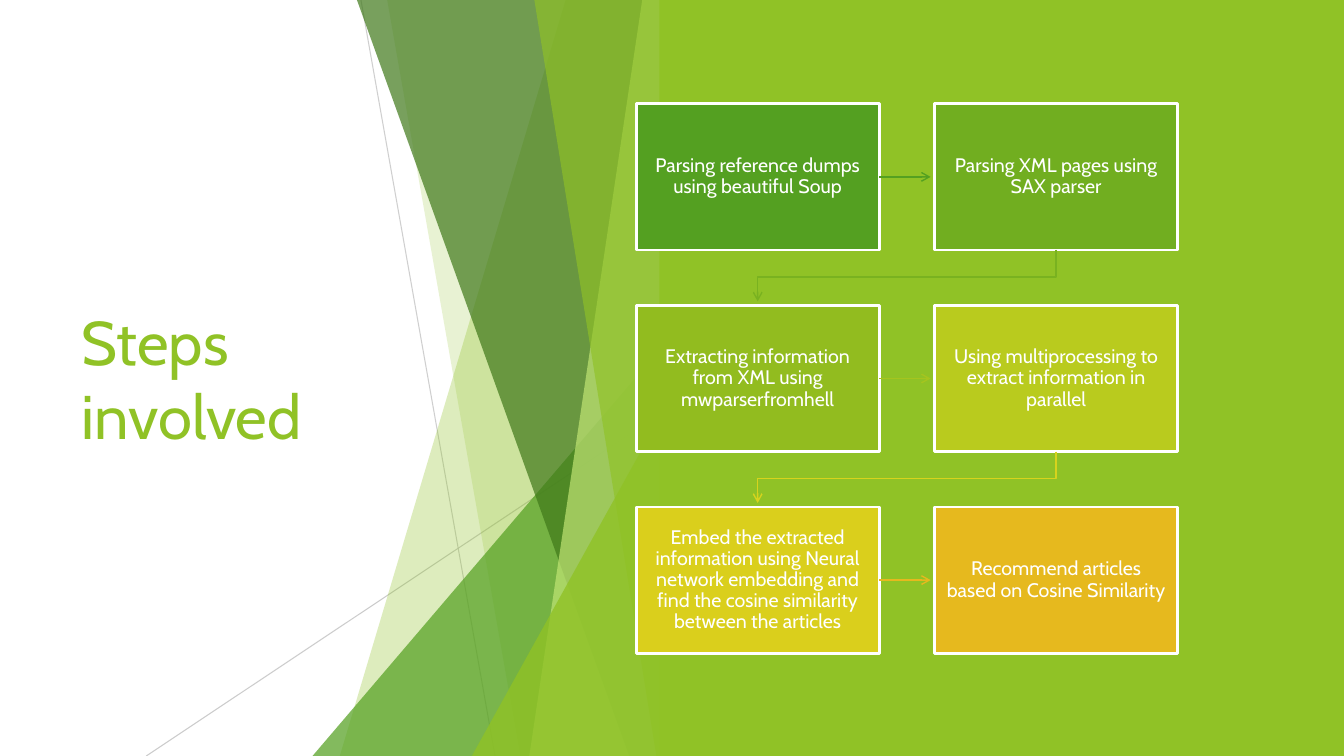
from lxml import etree
from pptx import Presentation
from pptx.dml.color import RGBColor
from pptx.enum.shapes import MSO_CONNECTOR, MSO_SHAPE
from pptx.enum.text import MSO_ANCHOR, MSO_AUTO_SIZE, PP_ALIGN
from pptx.oxml.ns import qn
from pptx.util import Inches, Pt

RECTANGLE = MSO_SHAPE.RECTANGLE
TRIANGLE = MSO_SHAPE.ISOSCELES_TRIANGLE
STRAIGHT = MSO_CONNECTOR.STRAIGHT
MIDDLE = MSO_ANCHOR.MIDDLE
NO_AUTOFIT = MSO_AUTO_SIZE.NONE
LEFT = PP_ALIGN.LEFT
CENTER = PP_ALIGN.CENTER

TITLE_ONLY = 5
FONT = "Cabin"
LIME = "90C226"
GREEN = "54A021"
WHITE = "FFFFFF"
GRAY = "BFBFBF"

STEPS = [
    ("Parsing reference dumps using beautiful Soup", "54A021"),
    ("Parsing XML pages using SAX parser", "71AE20"),
    ("Extracting information from XML using mwparserfromhell", "92BC1F"),
    ("Using multiprocessing to extract information in parallel", "B9CB1E"),
    ("Embed the extracted information using Neural network embedding "
     "and find the cosine similarity between the articles", "DACF1C"),
    ("Recommend articles based on Cosine Similarity", "E6B91E"),
]
ARROW_COLORS = ["54A021", "79B220", "A5C41F", "D7D31D", "E6B91E"]


def rgb(color):
    return RGBColor.from_string(color)


def set_opacity(shape, percent):
    for color in shape._element.iter(qn("a:srgbClr")):
        etree.SubElement(color, qn("a:alpha"), val=str(percent * 1000))


def fill_plain(shape, color):
    shape.fill.solid()
    shape.fill.fore_color.rgb = rgb(color)
    shape.line.fill.background()
    shape.shadow.inherit = False


def set_line(shape, color, width):
    shape.line.color.rgb = rgb(color)
    shape.line.width = Pt(width)


def add_arrowhead(shape):
    etree.SubElement(shape.line._get_or_add_ln(), qn("a:tailEnd"), type="arrow")


def add_straight(slide, start, end, color, width):
    line = slide.shapes.add_connector(
        STRAIGHT, *(Inches(value) for value in (*start, *end)))
    set_line(line, color, width)
    etree.SubElement(line._element.spPr, qn("a:effectLst"))
    return line


def add_outline(slide, points, close):
    corners = [(Inches(x), Inches(y)) for x, y in points]
    builder = slide.shapes.build_freeform(*corners[0])
    builder.add_line_segments(corners[1:], close=close)
    return builder.convert_to_shape()


def add_title(slide, left, top, width, height):
    title = slide.shapes.title
    title.left, title.top = Inches(left), Inches(top)
    title.width, title.height = Inches(width), Inches(height)
    frame = title.text_frame
    frame.text = "Steps involved"
    frame.word_wrap = True
    frame.auto_size = NO_AUTOFIT
    frame.vertical_anchor = MIDDLE
    heading = frame.paragraphs[0]
    heading.alignment = LEFT
    heading.font.name = FONT
    heading.font.size = Pt(44)
    heading.font.color.rgb = rgb(LIME)


def add_facets(slide, left, top, width, height):
    right, bottom = left + width, top + height

    def add_ray(start, end, opacity):
        ray = add_straight(slide, (left + start[0], top + start[1]),
                           (left + end[0], top + end[1]), GRAY, 0.75)
        set_opacity(ray, opacity)

    def add_wedge(top_x, bottom_x, color, opacity):
        wedge = add_outline(slide, [(left + top_x, top), (right, top),
                                    (right, bottom), (left + bottom_x, bottom)], True)
        fill_plain(wedge, color)
        set_opacity(wedge, opacity)

    def add_corner(x, y, color, opacity):
        corner = slide.shapes.add_shape(
            TRIANGLE, Inches(left + x), Inches(top + y),
            Inches(width - x), Inches(height - y))
        corner.adjustments[0] = 1
        fill_plain(corner, color)
        set_opacity(corner, opacity)

    add_ray((0.48, 0), (1.81, height), 75)
    add_ray((width, 4.03), (-1.65, height), 80)
    add_wedge(2.51, 0.27, LIME, 30)
    add_wedge(0.74, 2.06, LIME, 20)
    add_corner(0, 3.33, GREEN, 72)
    add_wedge(0.44, 3.14, "3F7819", 70)
    add_wedge(3.27, 2.15, "C0E474", 70)
    add_wedge(2.2, 3.41, LIME, 65)
    add_corner(1.58, 3.93, LIME, 80)


def add_panel(slide, left, top, width, height):
    panel = slide.shapes.add_shape(
        RECTANGLE, Inches(left), Inches(top), Inches(width), Inches(height))
    fill_plain(panel, LIME)


def add_step(slide, text, color, left, top, width, height):
    step = slide.shapes.add_shape(
        RECTANGLE, Inches(left), Inches(top), Inches(width), Inches(height))
    fill_plain(step, color)
    set_line(step, WHITE, 2)
    frame = step.text_frame
    frame.text = text
    frame.word_wrap = True
    frame.vertical_anchor = MIDDLE
    frame.margin_left = frame.margin_right = Inches(0.12)
    frame.margin_top = frame.margin_bottom = Inches(0.12)
    label = frame.paragraphs[0]
    label.alignment = CENTER
    label.line_spacing = 0.9
    label.font.name = FONT
    label.font.size = Pt(14)
    label.font.color.rgb = rgb(WHITE)
    return step


def add_process(slide, left, top, width, height):
    step_width, step_height = 2.41, 1.45
    column_pitch = width - step_width
    row_pitch = (height - step_height) / 2
    gap_end = 0.04
    steps = []
    for index, (text, color) in enumerate(STEPS):
        row, column = divmod(index, 2)
        steps.append(add_step(slide, text, color, left + column * column_pitch,
                              top + row * row_pitch, step_width, step_height))

    for index, color in enumerate(ARROW_COLORS):
        row, column = divmod(index, 2)
        row_top = top + row * row_pitch
        if column == 0:
            middle = row_top + step_height / 2
            arrow = add_straight(slide, (left + step_width, middle),
                                 (left + column_pitch - gap_end, middle), color, 1)
            arrow.begin_connect(steps[index], 3)
        else:
            target_x = left + step_width / 2
            source_x = target_x + column_pitch
            row_bottom = row_top + step_height
            bend = row_bottom + 0.27
            arrow = add_outline(slide, [
                (source_x, row_bottom), (source_x, bend), (target_x, bend),
                (target_x, row_top + row_pitch - gap_end)], False)
            arrow.fill.background()
            arrow.shadow.inherit = False
            set_line(arrow, color, 1)
        add_arrowhead(arrow)


def main():
    deck = Presentation()
    deck.slide_width, deck.slide_height = Inches(13.33), Inches(7.5)
    slide = deck.slides.add_slide(deck.slide_layouts[TITLE_ONLY])
    slide.background.fill.solid()
    slide.background.fill.fore_color.rgb = rgb(WHITE)
    add_title(slide, 0.71, 1.51, 3.88, 4.48)
    add_facets(slide, 3.1, 0, 3.56, 7.5)
    add_panel(slide, 6.54, 0, 6.79, 7.5)
    add_process(slide, 6.31, 1.03, 5.37, 5.45)
    deck.save("out.pptx")


if __name__ == "__main__":
    main()
